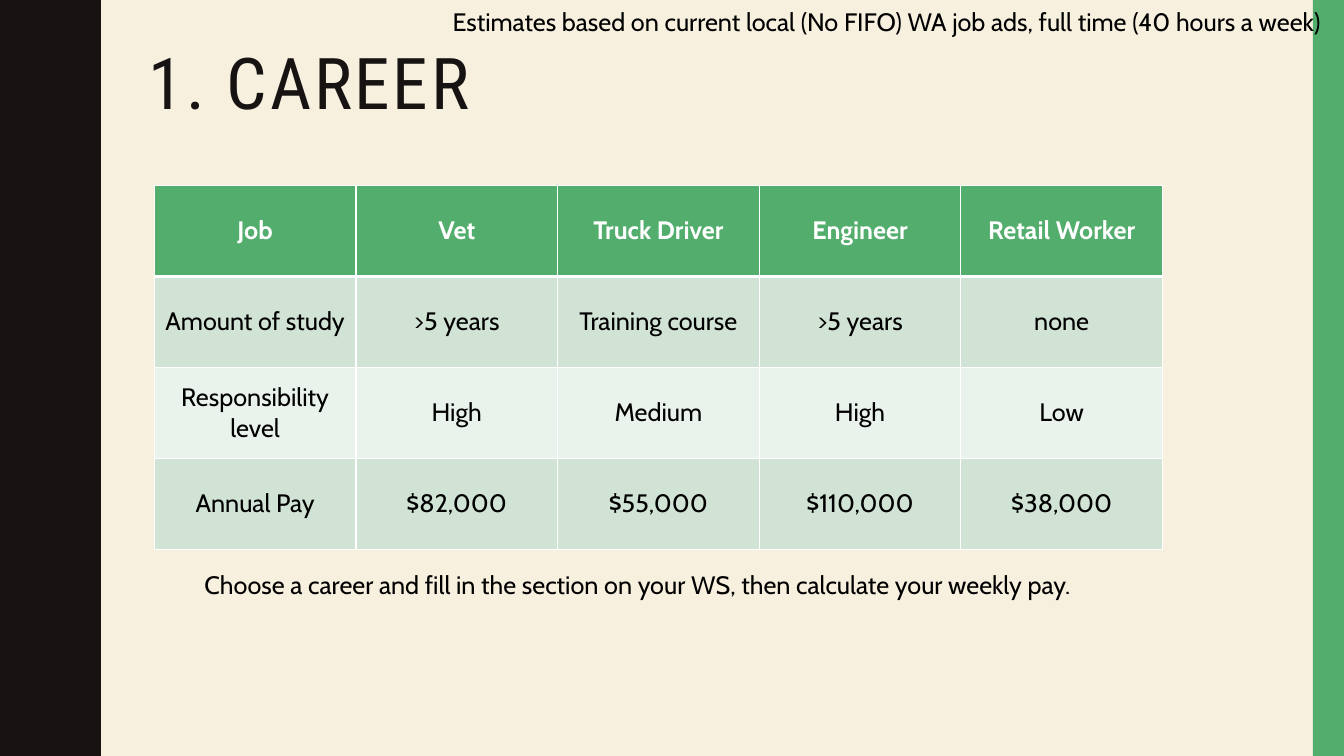
from lxml import etree
from pptx import Presentation
from pptx.dml.color import RGBColor
from pptx.enum.shapes import MSO_SHAPE
from pptx.enum.text import MSO_ANCHOR, MSO_AUTO_SIZE, PP_ALIGN
from pptx.oxml.ns import qn
from pptx.util import Inches, Pt

RECTANGLE = MSO_SHAPE.RECTANGLE
TOP, MIDDLE = MSO_ANCHOR.TOP, MSO_ANCHOR.MIDDLE
LEFT, CENTER = PP_ALIGN.LEFT, PP_ALIGN.CENTER
NO_AUTOFIT, GROW = MSO_AUTO_SIZE.NONE, MSO_AUTO_SIZE.SHAPE_TO_FIT_TEXT

CREAM = RGBColor(0xF7, 0xF0, 0xDF)
INK = RGBColor(0x17, 0x13, 0x12)
GREEN = RGBColor(0x53, 0xAE, 0x6E)
PALE_GREEN = RGBColor(0xD1, 0xE3, 0xD5)
PALEST_GREEN = RGBColor(0xE9, 0xF2, 0xEB)
WHITE = RGBColor(0xFF, 0xFF, 0xFF)
BLACK = RGBColor(0, 0, 0)

TITLE_FONT, BODY_FONT = "Roboto Condensed", "Cabin"
SLIDE_WIDTH, SLIDE_HEIGHT = 13.33, 7.5
BAR_WIDTH = 0.31
TROUGH, CREST, WAVE_LENGTH, WAVE_COUNT = 0.78, 0.19, 1.5, 5
# Depth and distance down the slide, from a trough to just before the crest.
RISE = [(0, 0), (0, 0.07), (0.01, 0.14), (0.02, 0.2), (0.03, 0.25),
        (0.05, 0.29), (0.07, 0.33), (0.09, 0.38), (0.11, 0.42), (0.13, 0.46),
        (0.15, 0.5), (0.17, 0.55), (0.18, 0.61), (0.19, 0.68)]

CAREERS = [
    ["Job", "Vet", "Truck Driver", "Engineer", "Retail Worker"],
    ["Amount of study", ">5 years", "Training course", ">5 years", "none"],
    ["Responsibility level", "High", "Medium", "High", "Low"],
    ["Annual Pay", "$82,000", "$55,000", "$110,000", "$38,000"],
]


def inches(box):
    return [Inches(length) for length in box]


def paint(shape, color):
    shape.shadow.inherit = False
    shape.fill.solid()
    shape.fill.fore_color.rgb = color
    shape.line.fill.background()


def style(paragraph, font_name, size, color, bold=False, alignment=LEFT):
    paragraph.alignment = alignment
    font = paragraph.font
    font.name, font.size, font.bold = font_name, Pt(size), bold
    font.color.rgb = color


def add_wavy_edge(slide):
    fall = [(depth, WAVE_LENGTH - down) for depth, down in reversed(RISE[1:])]
    wave = RISE + [(CREST, WAVE_LENGTH / 2)] + fall
    points = [(TROUGH + depth, index * WAVE_LENGTH + down)
              for index in range(WAVE_COUNT) for depth, down in wave]
    points += [(TROUGH, SLIDE_HEIGHT), (0, SLIDE_HEIGHT)]
    builder = slide.shapes.build_freeform(0, 0, scale=Inches(1))
    builder.add_line_segments(points, close=True)
    paint(builder.convert_to_shape(), INK)


def add_side_bar(slide):
    box = (SLIDE_WIDTH - BAR_WIDTH, 0, BAR_WIDTH, SLIDE_HEIGHT)
    paint(slide.shapes.add_shape(RECTANGLE, *inches(box)), GREEN)


def set_title(slide, box, text):
    title = slide.shapes.title
    title.left, title.top, title.width, title.height = inches(box)
    frame = title.text_frame
    frame.text = text
    frame.auto_size, frame.vertical_anchor = NO_AUTOFIT, TOP
    paragraph = frame.paragraphs[0]
    paragraph.line_spacing = 0.9
    style(paragraph, TITLE_FONT, 51, INK)
    paragraph.font._rPr.set("spc", "200")


def set_borders(cell, widths):
    """Draw white borders; widths gives points for left, right, top, bottom."""
    properties = cell._tc.get_or_add_tcPr()
    for side, width in zip("LRTB", widths):
        line = etree.SubElement(properties, qn(f"a:ln{side}"), w=str(Pt(width)))
        fill = etree.SubElement(line, qn("a:solidFill"))
        etree.SubElement(fill, qn("a:srgbClr"), val=str(WHITE))


def add_career_table(slide, box, rows):
    table = slide.shapes.add_table(len(rows), len(rows[0]), *inches(box)).table
    for row_index, row in enumerate(rows):
        header = row_index == 0
        band = PALE_GREEN if row_index % 2 else PALEST_GREEN
        for column_index, text in enumerate(row):
            cell = table.cell(row_index, column_index)
            cell.text = text
            cell.vertical_anchor = MIDDLE
            set_borders(cell, (1, 1, 3 if row_index == 1 else 1, 3 if header else 1))
            cell.fill.solid()
            cell.fill.fore_color.rgb = GREEN if header else band
            style(cell.text_frame.paragraphs[0], BODY_FONT, 18,
                  WHITE if header else BLACK, header, CENTER)


def add_note(slide, box, text):
    frame = slide.shapes.add_textbox(*inches(box)).text_frame
    frame.word_wrap = True
    frame.auto_size = GROW
    frame.text = text
    style(frame.paragraphs[0], BODY_FONT, 18, BLACK)


def build_career_slide(presentation):
    slide = presentation.slides.add_slide(presentation.slide_layouts[5])
    slide.background.fill.solid()
    slide.background.fill.fore_color.rgb = CREAM
    add_wavy_edge(slide)
    add_side_bar(slide)
    set_title(slide, (1.37, 0.42, 11.13, 1.63), "1. CAREER")
    add_career_table(slide, (1.53, 1.84, 10, 3.61), CAREERS)
    add_note(slide, (4.39, 0.01, 8.94, 0.4),
             "Estimates based on current local (No FIFO) WA job ads, "
             "full time (40 hours a week)")
    add_note(slide, (1.93, 5.6, 9.04, 0.4),
             "Choose a career and fill in the section on your WS, "
             "then calculate your weekly pay.")


def main():
    presentation = Presentation()
    presentation.slide_width = Inches(SLIDE_WIDTH)
    presentation.slide_height = Inches(SLIDE_HEIGHT)
    build_career_slide(presentation)
    presentation.save("out.pptx")


if __name__ == "__main__":
    main()
